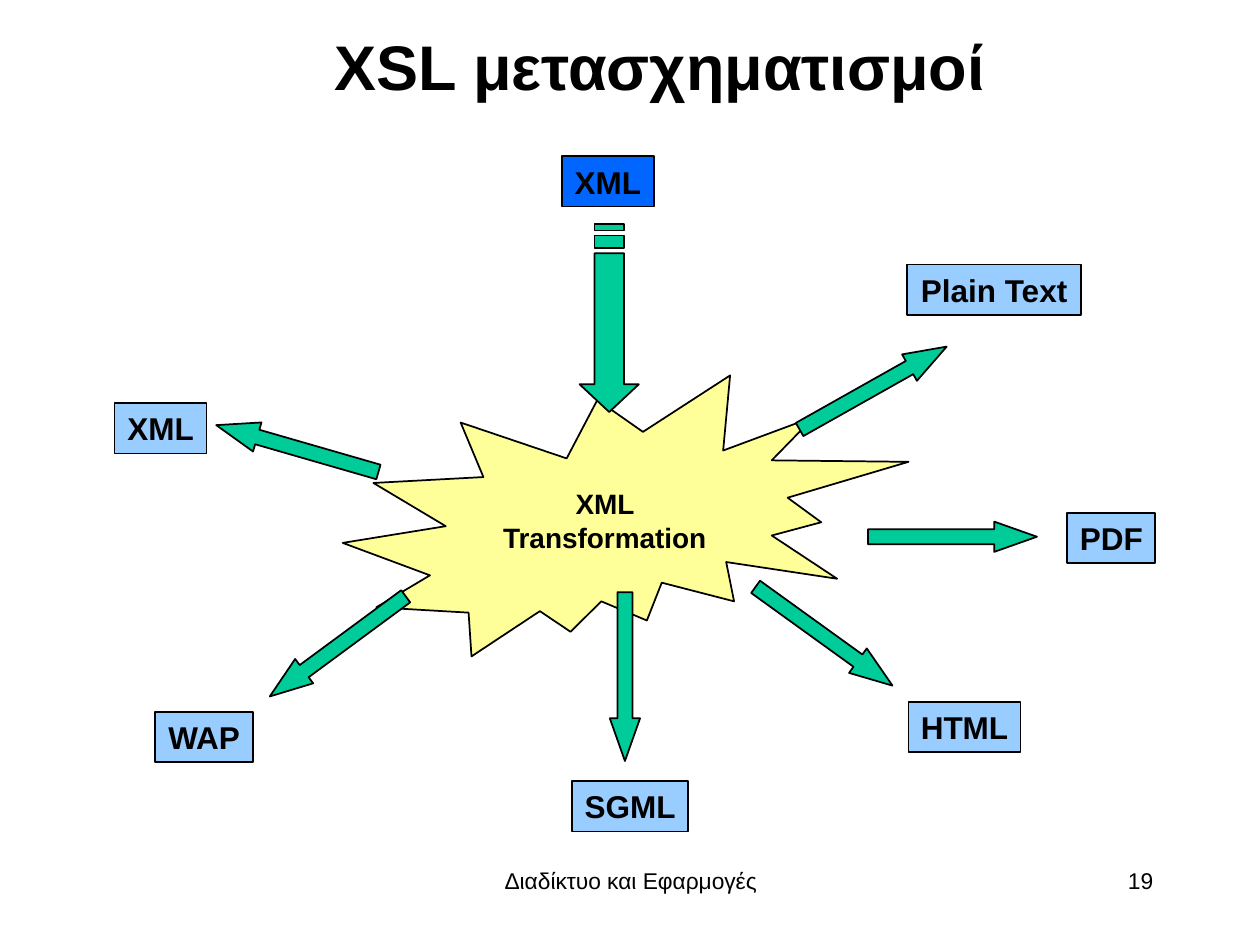
from pptx import Presentation
from pptx.dml.color import RGBColor
from pptx.enum import shapes, text
from pptx.util import Inches, Pt

COLORS = {
    "ink": "000000",
    "source": "0066FF",
    "output": "99CCFF",
    "burst": "FFFF99",
    "arrow": "00CC99",
}
FONT = "Arial"
LABEL_HEIGHT = 0.4
ARROW_SIZE = (1.34, 0.24)

LABELS = [
    ("HTML", 7.21, 5.57, 0.89, "output"),
    ("PDF", 8.47, 4.07, 0.7, "output"),
    ("SGML", 4.54, 6.2, 0.92, "output"),
    ("Plain Text", 7.2, 2.1, 1.38, "output"),
    ("WAP", 1.23, 5.65, 0.78, "output"),
    ("XML", 4.46, 1.24, 0.73, "source"),
    ("XML", 0.91, 3.2, 0.73, "output"),
]
ARROWS = [
    (6.89, 4.14, 0),
    (1.69, 3.44, 196.1),
    (4.29, 5.25, 90),
    (5.87, 4.93, 35.8),
    (2.01, 5.01, 143.6),
    (6.26, 2.96, 330.6),
]


def color(name):
    return RGBColor.from_string(COLORS[name])


def apply_format(target, values):
    for name, value in values.items():
        setattr(target, name, value)


def write(shape, words, size, bold=False, align="CENTER", anchor="MIDDLE", wrap=True):
    frame = shape.text_frame
    apply_format(frame, {
        "word_wrap": wrap,
        "vertical_anchor": text.MSO_ANCHOR[anchor],
        "margin_left": Inches(0.1),
        "margin_right": Inches(0.1),
        "margin_top": Inches(0.05),
        "margin_bottom": Inches(0.05),
    })
    para = frame.paragraphs[0]
    para.alignment = text.PP_ALIGN[align]
    span = para.add_run()
    span.text = words
    apply_format(span.font, {"name": FONT, "size": Pt(size), "bold": bold})
    span.font.color.rgb = color("ink")


def paint(shape, fill):
    shape.shadow.inherit = False
    shape.fill.solid()
    shape.fill.fore_color.rgb = color(fill)
    shape.line.color.rgb = color("ink")
    shape.line.width = Pt(1)


def add_preset(page, kind, box, fill):
    shape = page.shapes.add_shape(kind, *map(Inches, box))
    paint(shape, fill)
    return shape


def add_caption(page, box, words, size, **style):
    caption = page.shapes.add_textbox(*map(Inches, box))
    write(caption, words, size, **style)


def add_burst(page, box):
    burst = add_preset(page, shapes.MSO_SHAPE.EXPLOSION2, box, "burst")
    write(burst, "XML Transformation", 16, bold=True)


def add_label(page, box, words, fill):
    label = add_preset(page, shapes.MSO_SHAPE.RECTANGLE, box, fill)
    write(label, words, 18, bold=True, wrap=False)


def add_output_arrow(page, box, angle):
    arrow = add_preset(page, shapes.MSO_SHAPE.RIGHT_ARROW, box, "arrow")
    arrow.adjustments[0] = 0.5
    arrow.adjustments[1] = 1.41
    arrow.rotation = angle


def add_striped_arrow(page, box):
    left, top, width, height = box
    upper, lower, neck = height / 4, height * 3 / 4, width - 0.22
    head = [(0.23, upper), (neck, upper), (neck, 0), (width, height / 2),
            (neck, height), (neck, lower), (0.23, lower)]
    stripes = [[(start, upper), (end, upper), (end, lower), (start, lower)]
               for start, end in ((0.09, 0.19), (0, 0.05))]
    builder = page.shapes.build_freeform()
    for outline in (head, *stripes):
        points = [(Inches(x), Inches(y)) for x, y in outline]
        builder.move_to(*points[0])
        builder.add_line_segments(points[1:], close=True)
    arrow = builder.convert_to_shape(Inches(left), Inches(top))
    paint(arrow, "arrow")
    arrow.rotation = 90


def build_diagram(page):
    add_burst(page, (2.72, 2.98, 4.49, 2.23))
    for words, left, top, width, fill in LABELS:
        add_label(page, (left, top, width, LABEL_HEIGHT), words, fill)
    add_striped_arrow(page, (4.09, 2.29, 1.49, 0.47))
    for left, top, angle in ARROWS:
        add_output_arrow(page, (left, top, *ARROW_SIZE), angle)


def main():
    deck = Presentation()
    apply_format(deck, {"slide_width": Inches(10), "slide_height": Inches(7.5)})
    page = deck.slides.add_slide(deck.slide_layouts[6])
    add_caption(page, (3.42, 6.83, 3.17, 0.5), "Διαδίκτυο και Εφαρμογές", 13, anchor="TOP")
    add_caption(page, (7.17, 6.83, 2.08, 0.5), "19", 13, align="RIGHT", anchor="TOP")
    add_caption(page, (1.46, 0.07, 7.56, 0.9), "XSL μετασχηματισμοί", 36, bold=True)
    build_diagram(page)
    deck.save("out.pptx")


if __name__ == "__main__":
    main()
